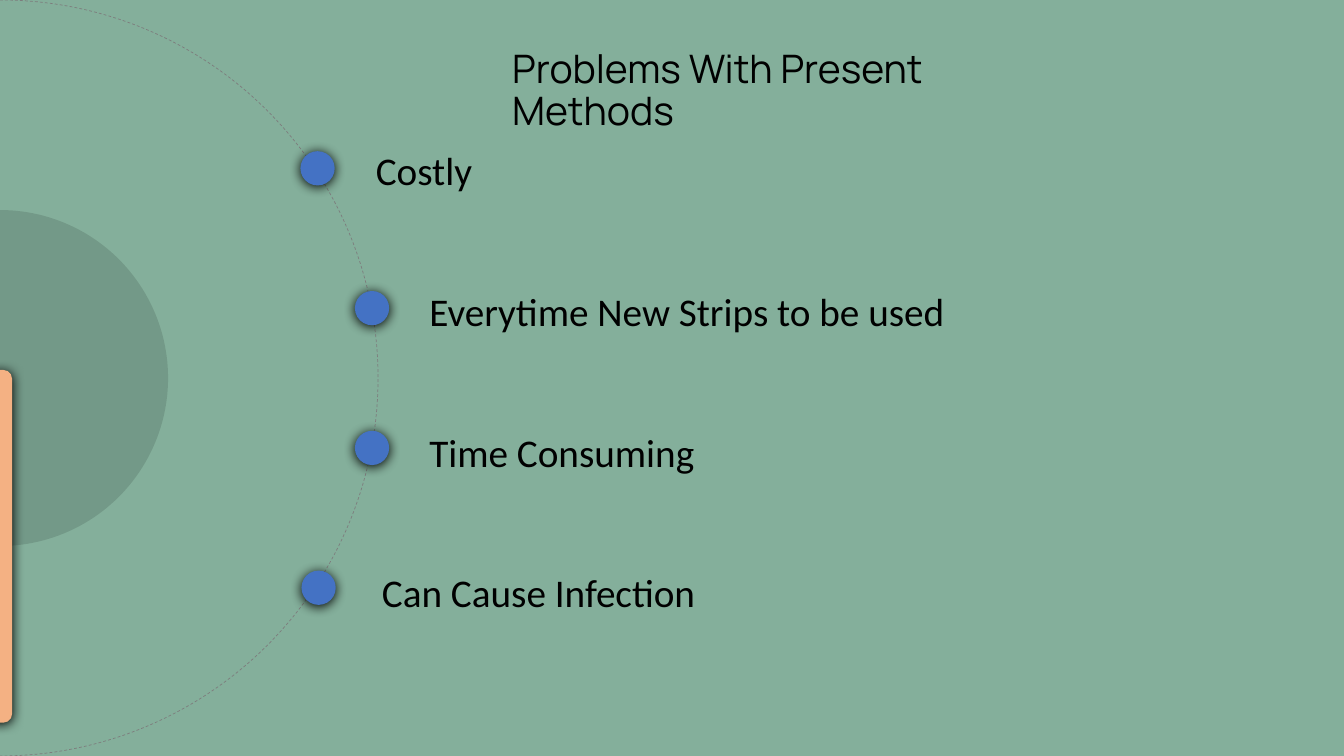
from lxml.etree import SubElement
from pptx import Presentation
from pptx.dml.color import RGBColor
from pptx.enum.dml import MSO_LINE
from pptx.enum.shapes import MSO_SHAPE
from pptx.enum.text import MSO_ANCHOR, PP_ALIGN
from pptx.oxml.ns import qn
from pptx.util import Inches, Pt

SLIDE_W, SLIDE_H = 13.33, 7.5
GREEN, BLUE, ORANGE, GREY, BLACK = "84AF9B", "4472C4", "F4B183", "7D7D7D", "000000"
RIGHT_HALF = (162, 54.07)  # arc from top to bottom

# Problem, left of its dot, left of its text
PROBLEMS = [
    ("Costly", 2.98, 3.63),
    ("Everytime New Strips to be used", 3.52, 4.16),
    ("Time Consuming", 3.52, 4.16),
    ("Can Cause Infection", 2.99, 3.69),
]


def paint(fill, color):
    fill.solid()
    fill.fore_color.rgb = RGBColor.from_string(color)


def add_filled(slide, preset, box, color, adjustments=()):
    shape = slide.shapes.add_shape(preset, *map(Inches, box))
    shape.shadow.inherit = False
    paint(shape.fill, color)
    shape.line.fill.background()
    for index, value in enumerate(adjustments):
        shape.adjustments[index] = value
    return shape


def add_soft_shadow(shape):
    effects = shape._element.spPr.find(qn("a:effectLst"))
    shadow = SubElement(effects, qn("a:outerShdw"), blurRad=str(Pt(8.5)),
                        dist=str(Pt(1)), dir="5400000", algn="ctr", rotWithShape="0")
    SubElement(shadow, qn("a:srgbClr"), val=BLACK)


def write(shape, text, font_name, anchor):
    frame = shape.text_frame
    frame.word_wrap = True
    frame.vertical_anchor = anchor
    paragraph = frame.paragraphs[0]
    paragraph.text = text
    paragraph.alignment = PP_ALIGN.LEFT
    paragraph.font.name = font_name
    paragraph.font.size = Pt(28)
    paragraph.font.bold = False
    paragraph.font.color.rgb = RGBColor.from_string(BLACK)
    return paragraph


def add_title(slide, left, top, width, height):
    title = slide.shapes.title
    title.left, title.top = Inches(left), Inches(top)
    title.width, title.height = Inches(width), Inches(height)
    heading = write(title, "Problems With Present Methods", "Manrope", MSO_ANCHOR.TOP)
    heading.line_spacing = 0.9


def half_disc(slide, center_y, diameter, color):
    radius = diameter / 2
    box = (-radius, center_y - radius, diameter, diameter)
    return add_filled(slide, MSO_SHAPE.ARC, box, color, RIGHT_HALF)


def add_orbit(slide, center_y, diameter):
    orbit = half_disc(slide, center_y, diameter, GREEN)
    paint(orbit.line.fill, GREY)
    orbit.line.width = Pt(0.5)
    orbit.line.dash_style = MSO_LINE.DASH


def add_hub(slide, center_y, diameter):
    hub = half_disc(slide, center_y, diameter, BLACK)
    tint = hub._element.spPr.find(qn("a:solidFill"))[0]
    SubElement(tint, qn("a:alpha"), val="12000")


def add_problems(slide, top, dot_pitch=1.387, text_pitch=1.397):
    dot_size, text_w, text_h = 0.34, 8, 0.57
    for row, (problem, dot_left, text_left) in enumerate(PROBLEMS):
        dot_box = (dot_left, top + 0.1 + row * dot_pitch, dot_size, dot_size)
        add_soft_shadow(add_filled(slide, MSO_SHAPE.OVAL, dot_box, BLUE))
        text_box = (text_left, top + row * text_pitch, text_w, text_h)
        label = slide.shapes.add_textbox(*map(Inches, text_box))
        write(label, problem, "Calibri", MSO_ANCHOR.MIDDLE)


def add_side_tab(slide, left, top, width, height):
    tab = add_filled(slide, MSO_SHAPE.ROUNDED_RECTANGLE,
                     (left, top, width, height), ORANGE, [0.35])
    add_soft_shadow(tab)


def main():
    deck = Presentation()
    deck.slide_width, deck.slide_height = Inches(SLIDE_W), Inches(SLIDE_H)
    slide = deck.slides.add_slide(deck.slide_layouts[5])
    paint(slide.background.fill, GREEN)

    # Half circles on the left edge
    add_orbit(slide, SLIDE_H / 2, SLIDE_H)
    add_hub(slide, SLIDE_H / 2, SLIDE_H * 4 / 9)
    # Tab at the left edge
    add_side_tab(slide, -0.13, 3.67, 0.25, 3.5)
    # Title and list of problems
    add_title(slide, 4.98, 0.44, 5.73, 0.57)
    add_problems(slide, 1.4)

    deck.save("out.pptx")


if __name__ == "__main__":
    main()
